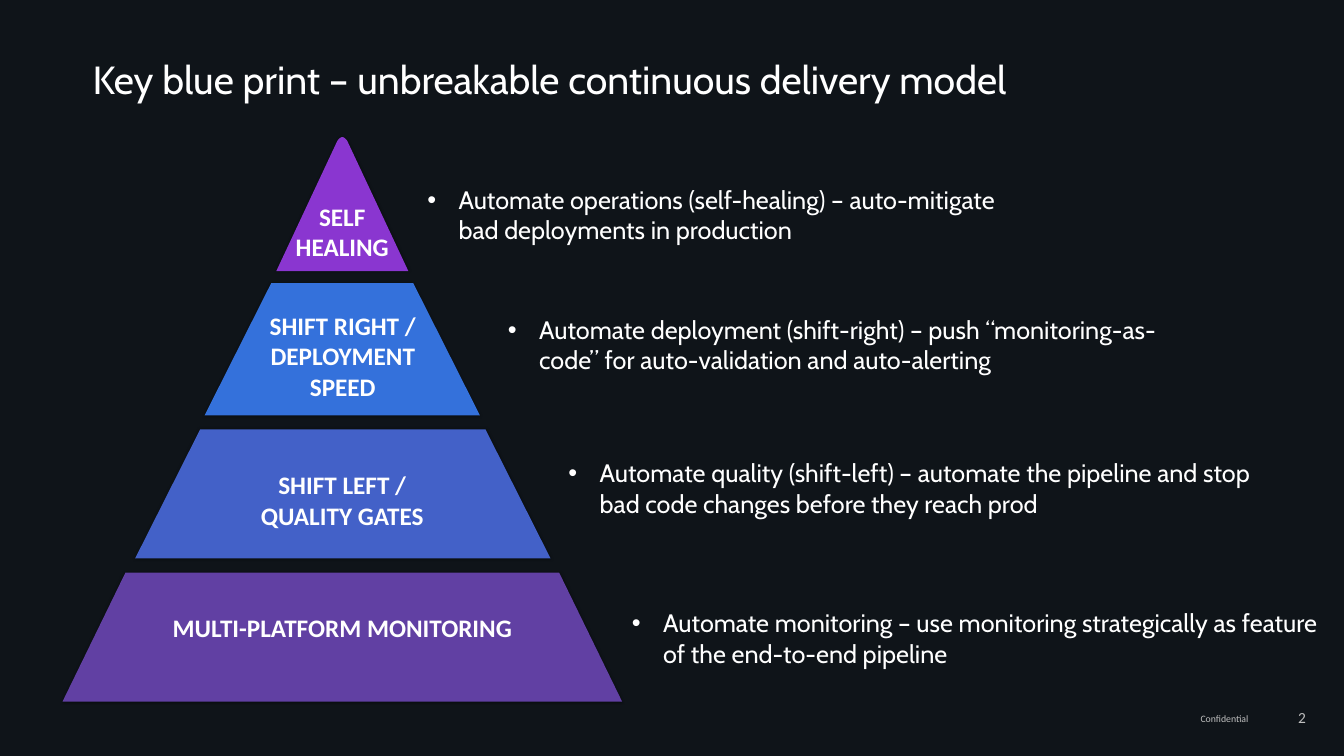
"""Build the slide showing the continuous delivery pyramid and its four tiers."""
import dataclasses
import typing

import lxml.etree
import pptx
import pptx.dml.color
import pptx.enum.shapes
import pptx.enum.text
import pptx.oxml.ns
import pptx.util

Inches = pptx.util.Inches
Align = pptx.enum.text.PP_ALIGN
Anchor = pptx.enum.text.MSO_ANCHOR
AutoSize = pptx.enum.text.MSO_AUTO_SIZE
Box = tuple[float, float, float, float]
Point = tuple[float, float]


@dataclasses.dataclass(frozen=True)
class Theme:
    background: str = "0F1419"
    text: str = "FFFFFF"
    muted: str = "BFBFBF"
    shadow: str = "000000"
    body_font: str = "Cabin"
    label_font: str = "Calibri"
    title_size: float = 28
    body_size: float = 18
    number_size: float = 11
    footer_size: float = 7


@dataclasses.dataclass(frozen=True)
class TextStyle:
    font: str
    size: float
    color: str
    bold: bool = False
    align: Align = Align.LEFT
    line_spacing: float = 1.0
    anchor: Anchor = Anchor.TOP
    auto_size: AutoSize = AutoSize.SHAPE_TO_FIT_TEXT
    bullet: bool = False


@dataclasses.dataclass(frozen=True)
class Tier:
    box: Box
    color: str
    label: str
    label_box: Box
    practice: str
    practice_box: Box
    slant: typing.Optional[float] = None


THEME = Theme()
TITLE = TextStyle(THEME.body_font, THEME.title_size, THEME.text, line_spacing=1.2,
                  anchor=Anchor.MIDDLE, auto_size=AutoSize.NONE)
LABEL = TextStyle(THEME.label_font, THEME.body_size, THEME.text, bold=True, align=Align.CENTER)
PRACTICE = TextStyle(THEME.body_font, THEME.body_size, THEME.text, bullet=True)
NUMBER = TextStyle(THEME.label_font, THEME.number_size, THEME.muted, align=Align.RIGHT, line_spacing=1.2)
FOOTER = dataclasses.replace(NUMBER, size=THEME.footer_size)

TIERS = [
    Tier((0.62, 5.68, 5.55, 1.28), "6140A3", "MULTI-PLATFORM MONITORING", (1.24, 6.03, 4.31, 0.4),
         "Automate monitoring – use monitoring strategically as feature of the end-to-end pipeline",
         (6.17, 5.98, 7.03, 0.71), 0.488),
    Tier((1.34, 4.26, 4.12, 1.28), "4361C8", "SHIFT LEFT /\nQUALITY GATES", (1.73, 4.61, 3.33, 0.71),
         "Automate quality (shift-left) – automate the pipeline and stop bad code changes before they reach prod",
         (5.54, 4.49, 7.03, 0.71), 0.504),
    Tier((2.03, 2.81, 2.73, 1.31), "3471DB", "SHIFT RIGHT /\nDEPLOYMENT SPEED", (2.4, 3.03, 2, 1.01),
         "Automate deployment (shift-right) – push “monitoring-as-code” for auto-validation and auto-alerting",
         (4.94, 3.07, 7.03, 0.71), 0.504),
    Tier((2.74, 1.36, 1.31, 1.33), "8A36D0", "SELF HEALING", (2.83, 1.95, 1.13, 0.71),
         "Automate operations (self-healing) – auto-mitigate bad deployments in production",
         (4.14, 1.78, 6.04, 0.71)),
]


def rgb(value: str) -> pptx.dml.color.RGBColor:
    return pptx.dml.color.RGBColor.from_string(value)


def set_values(target: typing.Any, values: dict[str, typing.Any]) -> None:
    for name, value in values.items():
        setattr(target, name, value)


def add_child(parent: typing.Any, tag: str, **attributes: str) -> typing.Any:
    return lxml.etree.SubElement(parent, pptx.oxml.ns.qn(tag), attributes)


def add_text(slide: typing.Any, text: str, box: Box, style: TextStyle) -> None:
    frame = slide.shapes.add_textbox(*map(Inches, box)).text_frame
    frame.text = text
    set_values(frame, {"word_wrap": True, "auto_size": style.auto_size, "vertical_anchor": style.anchor})
    for paragraph in frame.paragraphs:
        set_values(paragraph, {"alignment": style.align, "line_spacing": style.line_spacing})
        if style.bullet:
            properties = paragraph._p.get_or_add_pPr()
            properties.set("marL", str(Inches(0.31)))
            properties.set("indent", str(Inches(-0.31)))
            add_child(properties, "a:buFont", typeface="Arial")
            add_child(properties, "a:buChar", char="•")
        for run in paragraph.runs:
            set_values(run.font, {"name": style.font, "size": pptx.util.Pt(style.size), "bold": style.bold})
            run.font.color.rgb = rgb(style.color)


def cubic_point(curve: list[Point], t: float) -> Point:
    weights = ((1 - t) ** 3, 3 * t * (1 - t) ** 2, 3 * t ** 2 * (1 - t), t ** 3)
    return (sum(w * x for w, (x, _) in zip(weights, curve)),
            sum(w * y for w, (_, y) in zip(weights, curve)))


def add_peak(slide: typing.Any, box: Box) -> typing.Any:
    left, top, width, height = box
    center, right, bottom = left + width / 2, left + width, top + height
    curve = [(0, 0), (0.01, 0), (0.03, 0.01), (0.05, 0.04)]
    tip = [cubic_point(curve, step / 8) for step in range(9)]
    outline = [(center + x, top + y) for x, y in tip]
    outline += [(right, bottom), (left, bottom)]
    outline += [(center - x, top + y) for x, y in reversed(tip[1:])]
    points = [(Inches(x), Inches(y)) for x, y in outline]
    builder = slide.shapes.build_freeform(*points[0])
    builder.add_line_segments(points[1:], close=True)
    return builder.convert_to_shape()


def add_tier(slide: typing.Any, tier: Tier) -> None:
    if tier.slant is None:
        level = add_peak(slide, tier.box)
    else:
        level = slide.shapes.add_shape(pptx.enum.shapes.MSO_SHAPE.TRAPEZOID, *map(Inches, tier.box))
        level.adjustments[0] = tier.slant
    level.fill.solid()
    level.fill.fore_color.rgb = rgb(tier.color)
    level.line.fill.background()
    level.shadow.inherit = False
    effects = level._element.spPr.find(pptx.oxml.ns.qn("a:effectLst"))
    shadow = add_child(effects, "a:outerShdw", blurRad=str(pptx.util.Pt(2)), dist="0", dir="0")
    add_child(add_child(shadow, "a:srgbClr", val=THEME.shadow), "a:alpha", val="40000")
    add_text(slide, tier.label, tier.label_box, LABEL)


def main() -> None:
    deck = pptx.Presentation()
    set_values(deck, {"slide_width": Inches(13.33), "slide_height": Inches(7.5)})
    slide = deck.slides.add_slide(deck.slide_layouts[6])
    slide.background.fill.solid()
    slide.background.fill.fore_color.rgb = rgb(THEME.background)
    add_text(slide, "2", (12.65, 6.94, 0.4, 0.31), NUMBER)
    add_text(slide, "Confidential", (11.23, 7, 1.25, 0.23), FOOTER)
    for tier in TIERS:
        add_tier(slide, tier)
    for tier in reversed(TIERS):
        add_text(slide, tier.practice, tier.practice_box, PRACTICE)
    add_text(slide, "Key blue print – unbreakable continuous delivery model", (0.82, 0.33, 11.5, 0.81), TITLE)
    deck.save("out.pptx")


if __name__ == "__main__":
    main()
